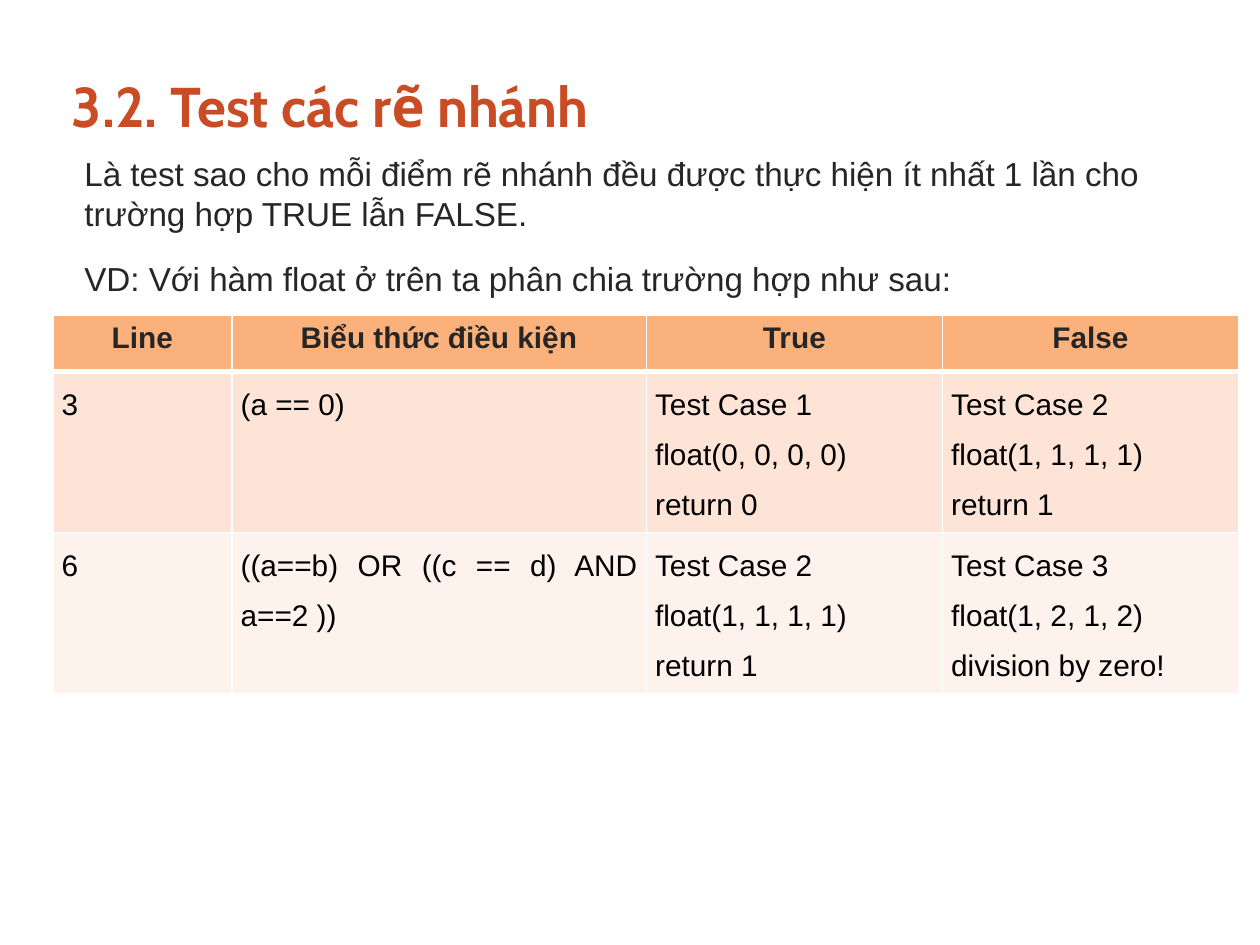
"""Build the slide on branch testing with its table of test cases."""
from lxml.etree import SubElement
from pptx import Presentation
from pptx.dml.color import RGBColor
from pptx.enum.text import MSO_ANCHOR, PP_ALIGN
from pptx.oxml.ns import qn
from pptx.util import Inches, Pt

COLORS = {"title": "C94C25", "text": "262626", "cell": "000000", "border": "FFFFFF",
          "header": "FAB17B", "odd": "FDE4D7", "even": "FEF2EC"}


def style(p, size, color, bold=False, name="Arial"):
    for attr, value in {"size": Pt(size), "bold": bold, "name": name}.items():
        setattr(p.font, attr, value)
    p.font.color.rgb = RGBColor.from_string(COLORS[color])


def add_borders(cell, bottom):
    for side in ("L", "R", "T", "B"):
        width = bottom if side == "B" else 1
        ln = SubElement(cell._tc.get_or_add_tcPr(), qn(f"a:ln{side}"), w=str(Pt(width)))
        SubElement(SubElement(ln, qn("a:solidFill")), qn("a:srgbClr"), val=COLORS["border"])


prs = Presentation()
prs.slide_width, prs.slide_height = Inches(10), Inches(7.5)
s = prs.slides.add_slide(prs.slide_layouts[5])

title = s.shapes.title
title.left, title.top, title.width, title.height = [Inches(v) for v in (0.5, 0.4, 7.83, 0.87)]
tf = title.text_frame
tf.text = "3.2. Test các rẽ nhánh"
tf.vertical_anchor = MSO_ANCHOR.MIDDLE
tf.margin_left, tf.margin_right = Inches(0.07), 0
p = tf.paragraphs[0]
p.alignment = PP_ALIGN.LEFT
style(p, 32, "title", True, "Cabin")

body = s.shapes.add_textbox(Inches(0.5), Inches(1.17), Inches(9), Inches(1.3))
tf = body.text_frame
tf.word_wrap = True
tf.margin_left = Inches(0.17)
tf.text = ("Là test sao cho mỗi điểm rẽ nhánh đều được thực hiện ít nhất 1 lần cho "
           "trường hợp TRUE lẫn FALSE.\n"
           "VD: Với hàm float ở trên ta phân chia trường hợp như sau:")
for i, p in enumerate(tf.paragraphs):
    p.space_before = Pt(4 * i)
    p.space_after = Pt(10)
    style(p, 19, "text")

rows = [
    ["Line", "Biểu thức điều kiện", "True", "False"],
    ["3", "(a == 0)", "Test Case 1\nfloat(0, 0, 0, 0)\nreturn 0",
     "Test Case 2\nfloat(1, 1, 1, 1)\nreturn 1"],
    ["6", "((a==b) OR ((c == d) AND a==2 ))", "Test Case 2\nfloat(1, 1, 1, 1)\nreturn 1",
     "Test Case 3\nfloat(1, 2, 1, 2)\ndivision by zero!"],
]
table = s.shapes.add_table(3, 4, Inches(0.42), Inches(2.5), Inches(9.41), Inches(2.83)).table
for column, width in zip(table.columns, (1.42, 3.29, 2.35, 2.35)):
    column.width = Inches(width)
for row, height in zip(table.rows, (0.45, 1.19, 1.19)):
    row.height = Inches(height)

for r, (texts, fill) in enumerate(zip(rows, ("header", "odd", "even"))):
    header = r == 0
    for c, text in enumerate(texts):
        cell = table.cell(r, c)
        cell.text = text
        add_borders(cell, 3 if header else 1)
        cell.fill.solid()
        cell.fill.fore_color.rgb = RGBColor.from_string(COLORS[fill])
        if not header:
            cell.margin_left = cell.margin_right = Inches(0.07)
            cell.margin_top = cell.margin_bottom = 0
        for p in cell.text_frame.paragraphs:
            p.alignment = PP_ALIGN.CENTER if header else PP_ALIGN.JUSTIFY
            p.line_spacing = 1.0 if header else 1.5
            style(p, 17, "text" if header else "cell", header)

prs.save("out.pptx")
